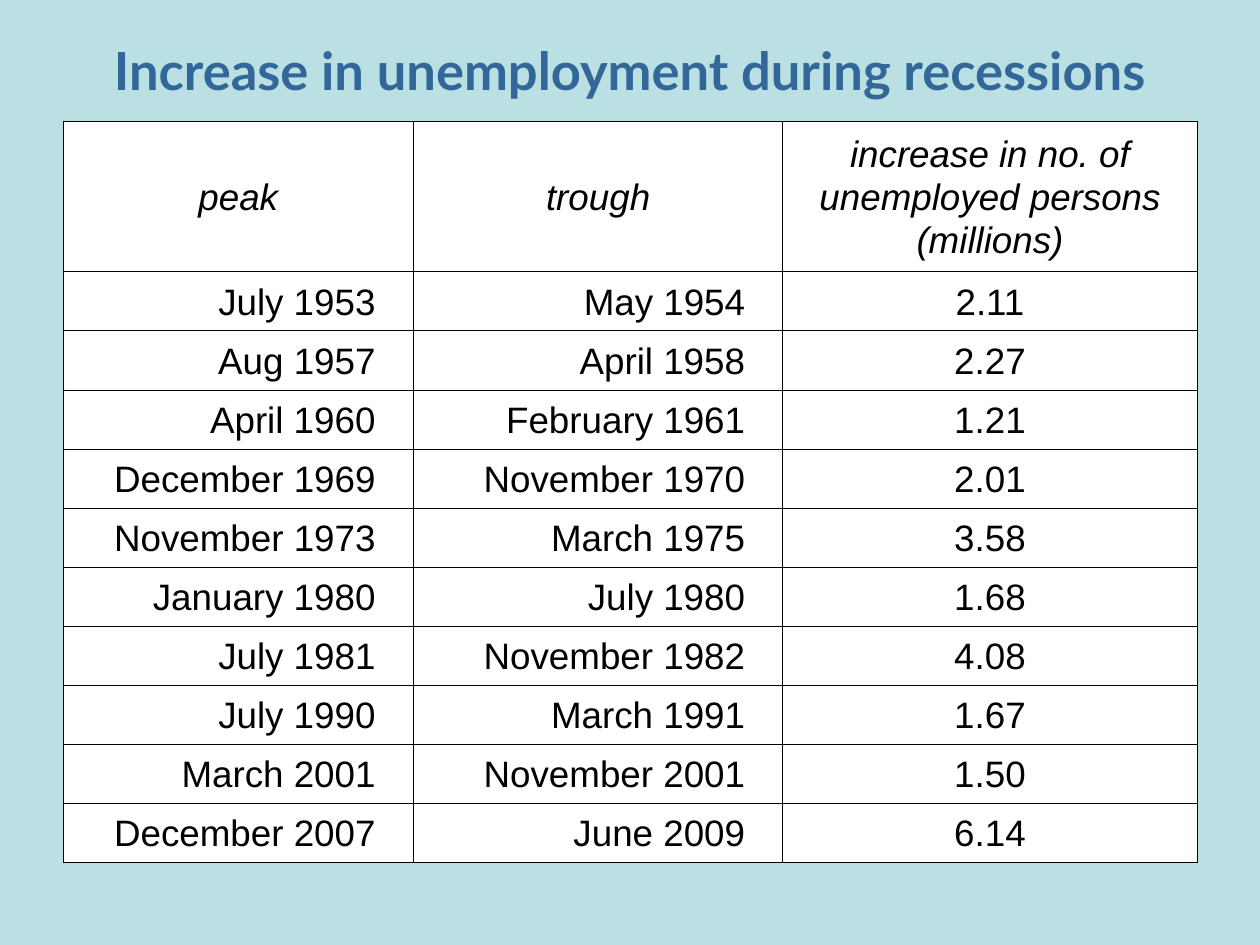
import pptx
import pptx.util
import pptx.dml.color
import pptx.enum.text
import pptx.oxml
import pptx.oxml.ns

Cm, Pt = pptx.util.Cm, pptx.util.Pt
ALIGN = pptx.enum.text.PP_ALIGN
MID = pptx.enum.text.MSO_ANCHOR.MIDDLE

# Content
TITLE = "Increase in unemployment during recessions"
HEAD = ("peak", "trough", "increase in no. of unemployed persons (millions)")
ROWS = [
    ("July 1953", "May 1954", "2.11"),
    ("Aug 1957", "April 1958", "2.27"),
    ("April 1960", "February 1961", "1.21"),
    ("December 1969", "November 1970", "2.01"),
    ("November 1973", "March 1975", "3.58"),
    ("January 1980", "July 1980", "1.68"),
    ("July 1981", "November 1982", "4.08"),
    ("July 1990", "March 1991", "1.67"),
    ("March 2001", "November 2001", "1.50"),
    ("December 2007", "June 2009", "6.14"),
]
WIDTHS = (7.06, 7.45, 8.35)
HEAD_H, ROW_H = 3.04, 1.19


def color(text):
    return pptx.dml.color.RGBColor.from_string(text)


def paint(fill, tone):
    fill.solid()
    fill.fore_color.rgb = color(tone)


def style(para, face, size, tone, align):
    para.alignment = align
    para.line_spacing = 1.05
    para.font.name = face
    para.font.size = Pt(size)
    para.font.color.rgb = color(tone)


def border(cell, tone, width):
    props = cell._tc.get_or_add_tcPr()
    for i, side in enumerate("LRTB"):
        line = pptx.oxml.parse_xml(
            f'<a:ln{side} {pptx.oxml.ns.nsdecls("a")} w="{Pt(width)}">'
            f'<a:solidFill><a:srgbClr val="{tone}"/></a:solidFill></a:ln{side}>')
        props.insert(i, line)


def add_title(slide):
    title = slide.shapes.title
    title.left, title.top = Cm(0), Cm(0.41)
    title.width, title.height = Cm(25.4), Cm(1.93)
    frame = title.text_frame
    frame.text = TITLE
    frame.word_wrap = True
    frame.auto_size = pptx.enum.text.MSO_AUTO_SIZE.NONE
    frame.vertical_anchor = MID
    frame.margin_left = frame.margin_right = 0
    frame.margin_top = frame.margin_bottom = 0
    style(frame.paragraphs[0], "Lato", 30, "336699", ALIGN.CENTER)
    frame.paragraphs[0].font.bold = True


def add_grid(slide):
    data = [HEAD] + ROWS
    high = HEAD_H + ROW_H * len(ROWS)
    table = slide.shapes.add_table(
        len(data), len(HEAD), Cm(1.27), Cm(2.44), Cm(sum(WIDTHS)), Cm(high)).table
    table.horz_banding = False
    for col, width in zip(table.columns, WIDTHS):
        col.width = Cm(width)
    for r, texts in enumerate(data):
        table.rows[r].height = Cm(ROW_H if r else HEAD_H)
        for c, text in enumerate(texts):
            cell = table.cell(r, c)
            cell.text = text
            cell.vertical_anchor = MID
            # Dates sit right with a wide margin, all else is centred
            date = r > 0 and c < 2
            cell.margin_right = Cm(0.76 if date else 0.25)
            para = cell.text_frame.paragraphs[0]
            style(para, "Arial", 21, "000000", ALIGN.RIGHT if date else ALIGN.CENTER)
            para.font.bold = False
            para.font.italic = r == 0
            paint(cell.fill, "FFFFFF")
            border(cell, "000000", 0.5)


def main():
    deck = pptx.Presentation()
    deck.slide_width, deck.slide_height = Cm(25.4), Cm(19.05)
    slide = deck.slides.add_slide(deck.slide_layouts[5])
    paint(slide.background.fill, "BBE0E3")
    add_title(slide)
    add_grid(slide)
    deck.save("out.pptx")


if __name__ == "__main__":
    main()
